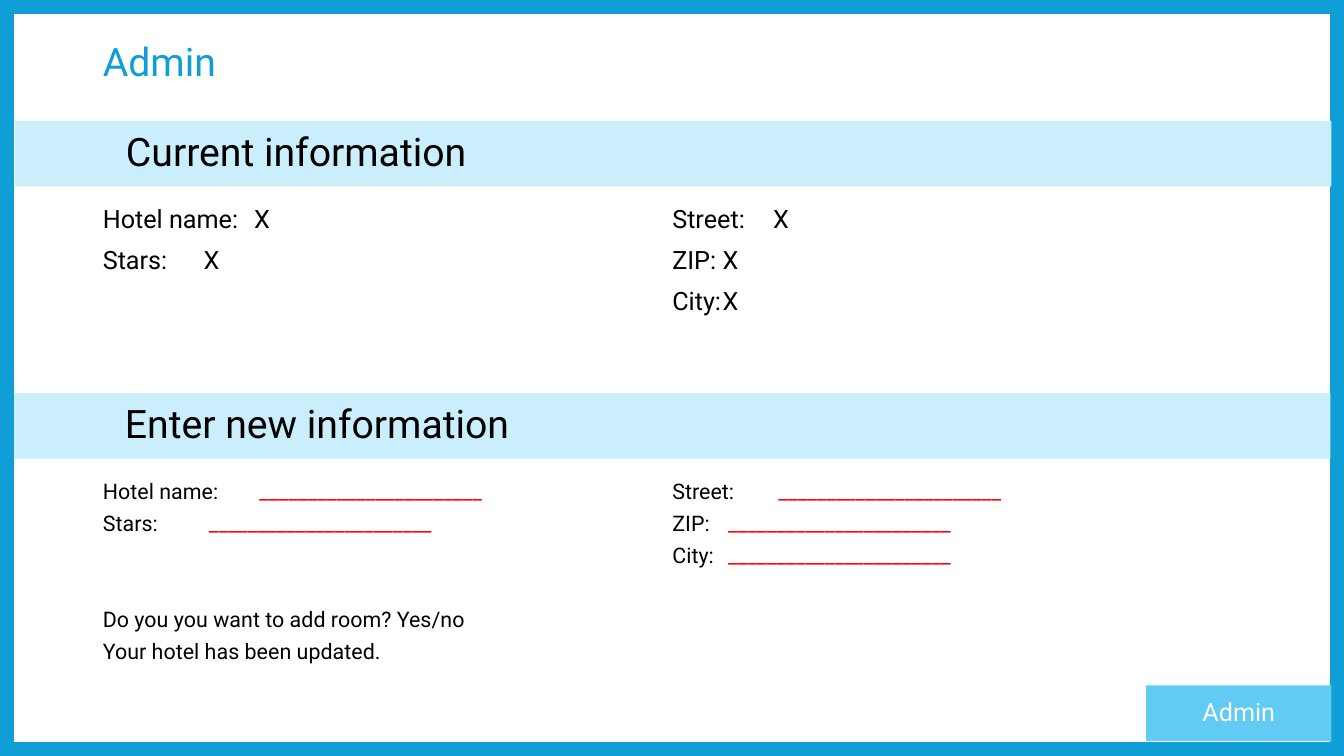
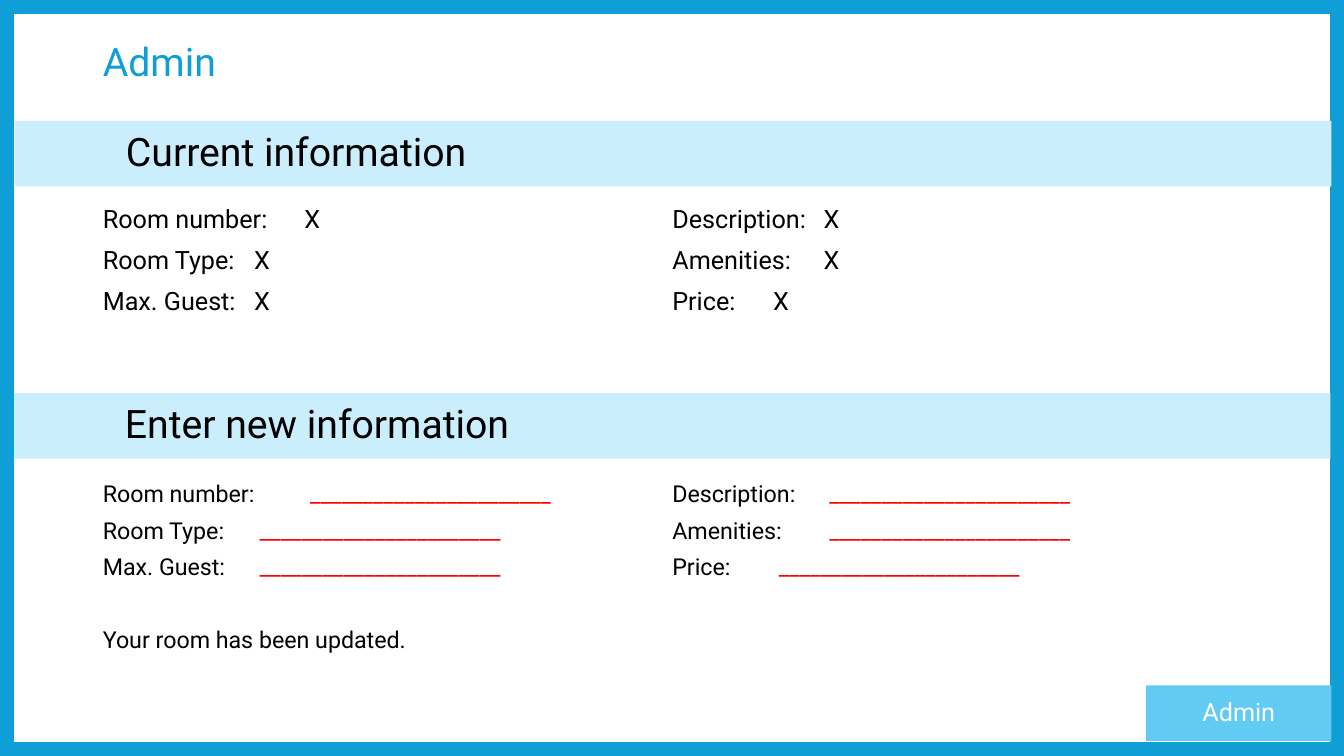
import pptx
import pptx.dml.color
import pptx.enum.shapes
import pptx.enum.text
import pptx.oxml
import pptx.oxml.ns
import pptx.util
from lxml import etree

Pt = pptx.util.Pt
RGBColor = pptx.dml.color.RGBColor
Anchor = pptx.enum.text.MSO_ANCHOR
Align = pptx.enum.text.PP_ALIGN

BLUE = RGBColor(0x0F, 0x9E, 0xD5)
BADGE_BLUE = RGBColor(0x61, 0xCB, 0xF4)
BAND_BLUE = RGBColor(0xCA, 0xEE, 0xFB)
WHITE = RGBColor(0xFF, 0xFF, 0xFF)
BLACK = RGBColor(0x00, 0x00, 0x00)
RED = RGBColor(0xFF, 0x00, 0x00)
FONT = "Roboto"

TITLE = "Admin"
CURRENT_VALUE = "X"
BLANK_FIELD = " " + "_" * 23

# Per column: the labels and the tab stop of their values.
# "form" is the text size, line spacing and gap above the messages.
PAGES = [
    {
        "columns": [
            (["Hotel name:", "Stars:"], 144),
            (["Street:", "ZIP:", "City:"], 72),
        ],
        "messages": ["Do you you want to add room? Yes/no", "Your hotel has been updated."],
        "form": (15.3, 0.7, 55.7),
    },
    {
        "columns": [
            (["Room number:", "Room Type:", "Max. Guest:"], 144),
            (["Description:", "Amenities:", "Price:"], 144),
        ],
        "messages": ["Your room has been updated."],
        "form": (16.6, 0.8, 36),
    },
]

WIDTH, HEIGHT = 960, 540
LEFT = 66.24
COLUMN_STEP, COLUMN_WIDTH = 406.8, 421.2
CURRENT_TOP, CURRENT_HEIGHT = 144, 122.4
FORM_TOP, FORM_HEIGHT = 342.72, 136.8
BAND_WIDTH, BAND_HEIGHT = 940.32, 46.8
BANDS = [("Current information", 10.8, 86.4), ("Enter new information", 10.08, 280.8)]
PARAGRAPH_GAP = 10


def place(shape, left, top, width, height):
    shape.left, shape.top = Pt(left), Pt(top)
    shape.width, shape.height = Pt(width), Pt(height)


def style_run(run, size, color):
    run.font.name = FONT
    run.font.size = Pt(size)
    run.font.bold = False
    run.font.color.rgb = color


def write_line(shape, text, size, color, align):
    text_frame = shape.text_frame
    text_frame.text = text
    text_frame.auto_size = pptx.enum.text.MSO_AUTO_SIZE.NONE
    text_frame.vertical_anchor = Anchor.MIDDLE
    paragraph = text_frame.paragraphs[0]
    paragraph.alignment = align
    paragraph.line_spacing = 0.9
    style_run(paragraph.runs[0], size, color)


def add_rectangle(slide, left, top, width, height, fill=None):
    shape = slide.shapes.add_shape(
        pptx.enum.shapes.MSO_SHAPE.RECTANGLE, Pt(left), Pt(top), Pt(width), Pt(height)
    )
    shape.shadow.inherit = False
    if fill is None:
        shape.fill.background()
    else:
        shape.fill.solid()
        shape.fill.fore_color.rgb = fill
        shape.line.fill.background()
    return shape


def prepare_layout(layout):
    """Set the placeholder positions that all slides inherit."""
    places = {0: (LEFT, 22.32, 828, 46.8)}
    for column in range(2):
        left = LEFT + column * COLUMN_STEP
        places[1 + 2 * column] = (left, CURRENT_TOP, COLUMN_WIDTH, CURRENT_HEIGHT)
        places[2 + 2 * column] = (left, FORM_TOP, COLUMN_WIDTH, FORM_HEIGHT)
    for placeholder in layout.placeholders:
        index = placeholder.placeholder_format.idx
        if index in places:
            place(placeholder, *places[index])


def add_shared_decoration(slide):
    """Draw the frame and badge, then move them to the slide's layout."""
    frame = add_rectangle(slide, 0, 0, WIDTH, HEIGHT)
    frame.line.color.rgb = BLUE
    frame.line.width = Pt(20)
    badge = add_rectangle(slide, 818.64, 489.6, 132.48, 39.6, BADGE_BLUE)
    write_line(badge, TITLE, 18, WHITE, Align.CENTER)
    for number, shape in enumerate((frame, badge)):
        shape.element.nvSpPr.cNvPr.set("id", str(20 + number))
        slide.slide_layout.shapes.element.insert(2 + number, shape.element)


def set_plain_with_tab(paragraph, tab):
    """Remove bullet and indent, and add one tab stop."""
    properties = paragraph._p.get_or_add_pPr()
    properties.set("marL", "0")
    properties.set("indent", "0")
    etree.SubElement(properties, pptx.oxml.ns.qn("a:buNone"))
    tabs = etree.SubElement(properties, pptx.oxml.ns.qn("a:tabLst"))
    etree.SubElement(tabs, pptx.oxml.ns.qn("a:tab"), pos=str(Pt(tab)), algn="l")


def fill_list(shape, labels, tab, value, color, size, spacing, messages=(), message_gap=0):
    text_frame = shape.text_frame
    text_frame.text = "\n".join([label + "\t" for label in labels] + list(messages))
    text_frame.auto_size = pptx.enum.text.MSO_AUTO_SIZE.NONE
    text_frame.vertical_anchor = Anchor.TOP
    for number, paragraph in enumerate(text_frame.paragraphs):
        set_plain_with_tab(paragraph, tab)
        paragraph.line_spacing = spacing
        if number == 0:
            gap = 0
        elif number == len(labels):
            gap = message_gap
        else:
            gap = PARAGRAPH_GAP
        paragraph.space_before = Pt(gap)
        style_run(paragraph.runs[0], size, BLACK)
        if number < len(labels):
            run = paragraph.add_run()
            run.text = value
            style_run(run, size, color)


def fill_slide(slide, page):
    write_line(slide.shapes.title, TITLE, 28, BLUE, Align.LEFT)
    size, spacing, message_gap = page["form"]
    for column, (labels, tab) in enumerate(page["columns"]):
        current = slide.placeholders[1 + 2 * column]
        form = slide.placeholders[2 + 2 * column]
        messages = page["messages"] if column == 0 else ()
        fill_list(current, labels, tab, CURRENT_VALUE, BLACK, 18, 0.9)
        fill_list(form, labels, tab, BLANK_FIELD, RED, size, spacing, messages, message_gap)
    for text, left, top in BANDS:
        band = add_rectangle(slide, left, top, BAND_WIDTH, BAND_HEIGHT, BAND_BLUE)
        band.text_frame.margin_left = Pt(79.2)
        write_line(band, text, 28, BLACK, Align.LEFT)


def main():
    presentation = pptx.Presentation()
    presentation.slide_width, presentation.slide_height = Pt(WIDTH), Pt(HEIGHT)
    layout = presentation.slide_layouts.get_by_name("Comparison")
    prepare_layout(layout)
    for number, page in enumerate(PAGES):
        slide = presentation.slides.add_slide(layout)
        if number == 0:
            add_shared_decoration(slide)
        fill_slide(slide, page)
    presentation.save("out.pptx")


if __name__ == "__main__":
    main()
